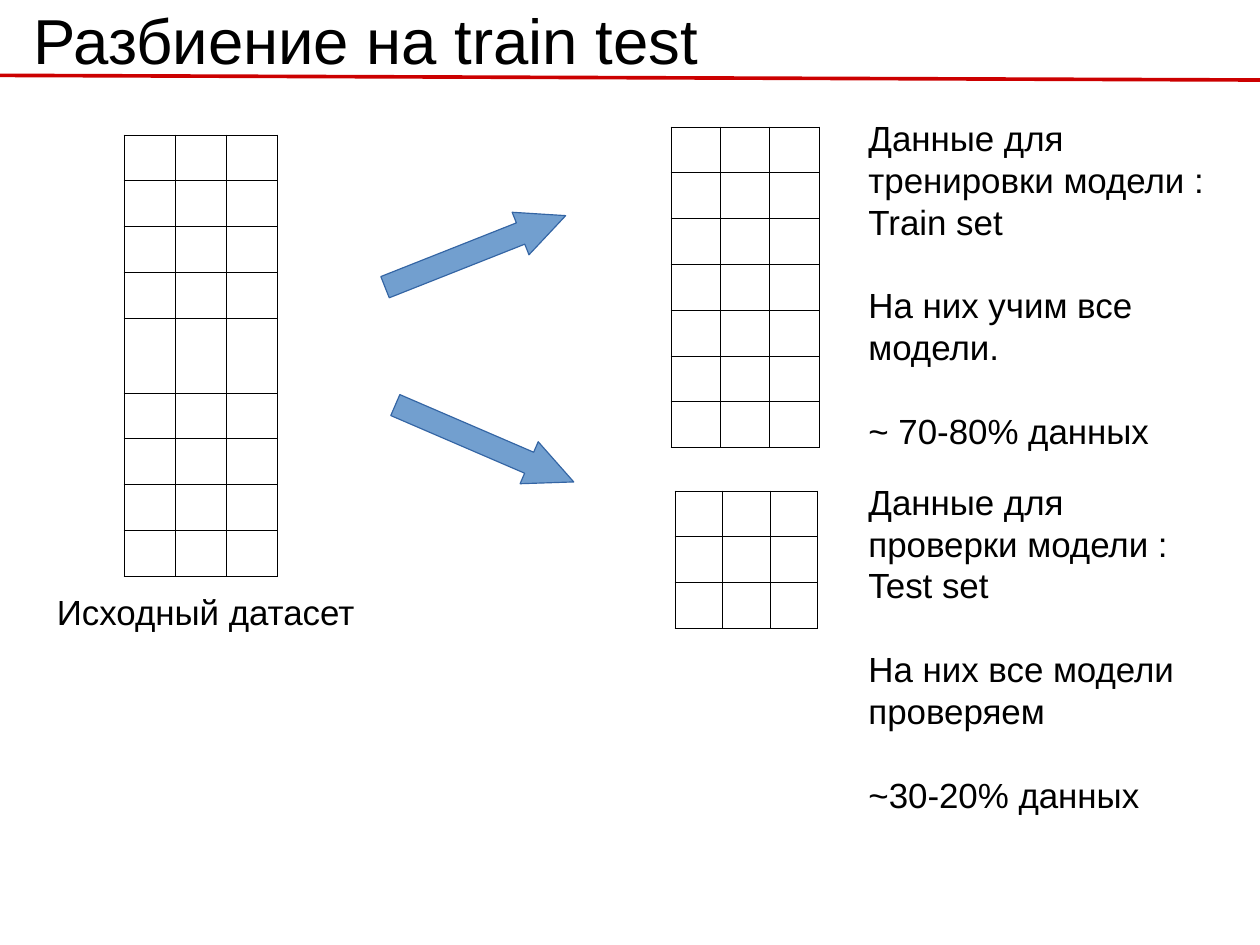
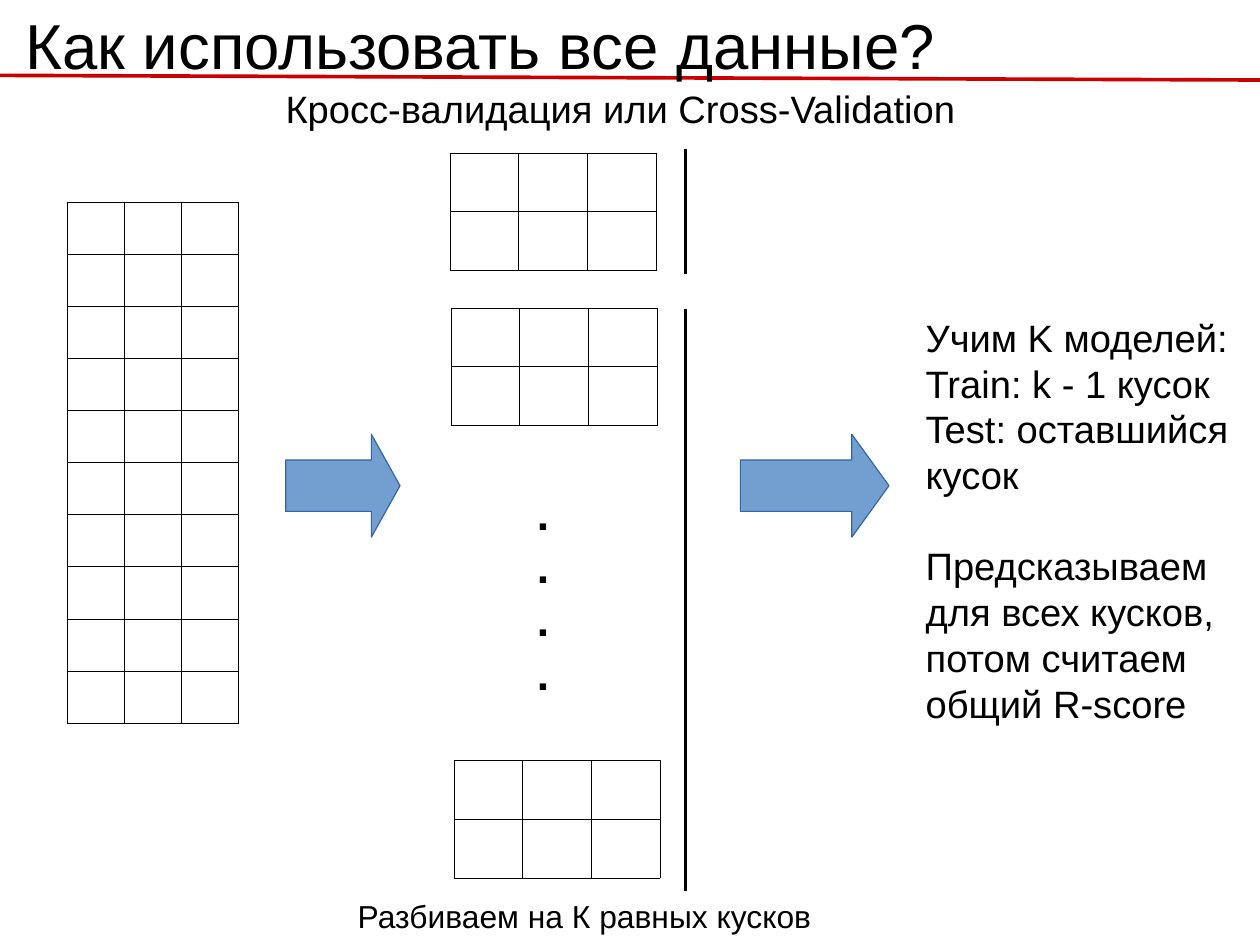
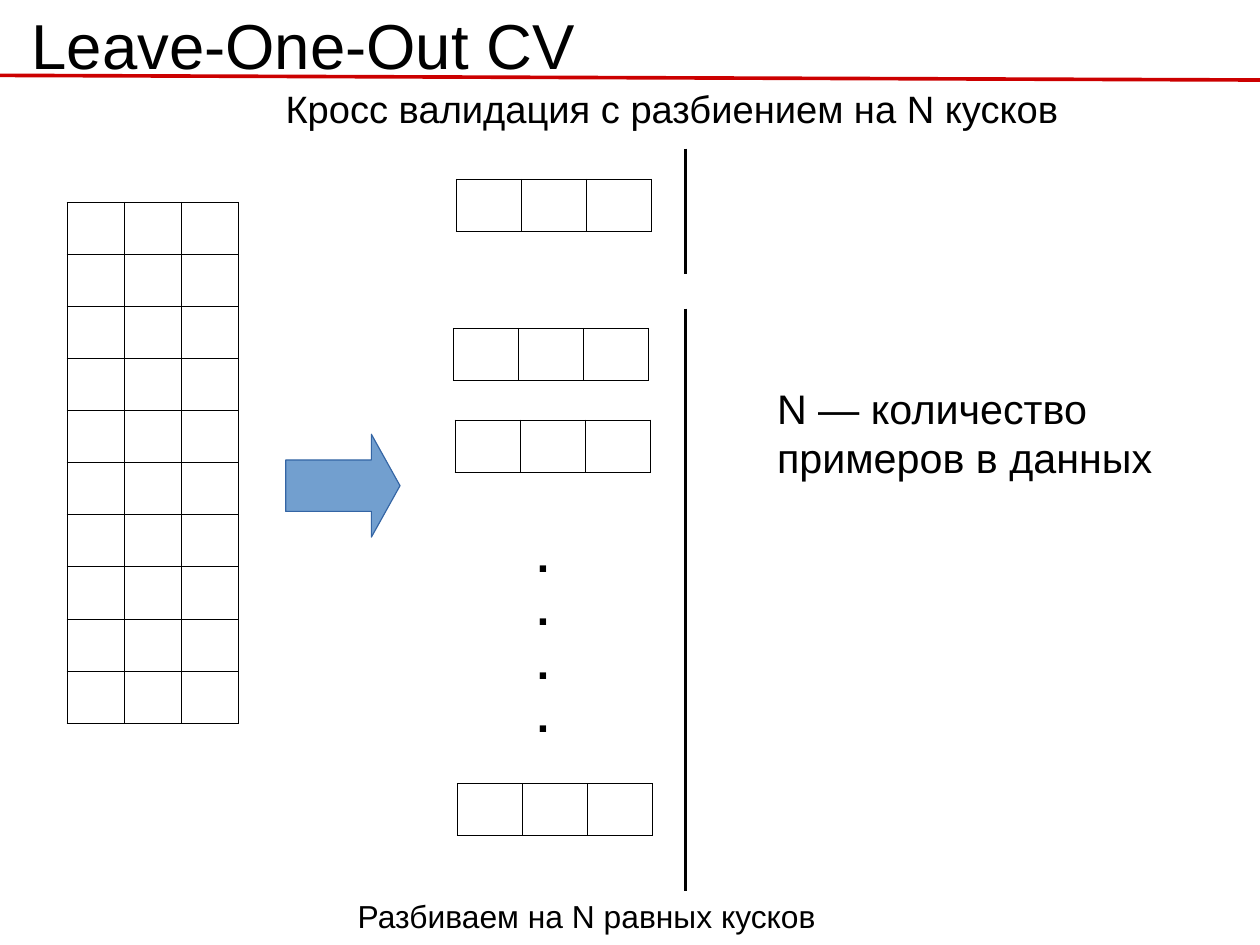
from dataclasses import dataclass

from lxml import etree
from pptx import Presentation
from pptx.dml.color import RGBColor
from pptx.enum.shapes import MSO_CONNECTOR, MSO_SHAPE
from pptx.enum.text import MSO_ANCHOR, MSO_AUTO_SIZE, PP_ALIGN
from pptx.oxml.ns import qn
from pptx.util import Pt

STRAIGHT = MSO_CONNECTOR.STRAIGHT
RIGHT_ARROW = MSO_SHAPE.RIGHT_ARROW
TOP = MSO_ANCHOR.TOP
NO_AUTO_SIZE = MSO_AUTO_SIZE.NONE
LEFT = PP_ALIGN.LEFT
CENTER = PP_ALIGN.CENTER
TITLE_ONLY = 5


@dataclass(frozen=True)
class Theme:
    font: str = "Arial"
    black: str = "000000"
    red: str = "CC0000"
    arrow_fill: str = "729FCF"
    arrow_line: str = "3465A4"
    title: float = 40
    dots: float = 28
    remark: float = 26
    subtitle: float = 24
    body: float = 22
    caption: float = 20
    line_height: float = 1.2
    rule_width: float = 2.3
    border_width: float = 0.57
    hairline: float = 0


@dataclass(frozen=True)
class Box:
    left: float
    top: float
    width: float
    height: float

    def inside(self, left, top, width, height):
        return Box(self.left + left, self.top + top, width, height)

    def lengths(self):
        return Pt(self.left), Pt(self.top), Pt(self.width), Pt(self.height)


THEME = Theme()
PAGE = Box(0, 0, 793.7, 595.3)
SOURCE_BOX = Box(42.2, 127.5, 210, 328.2)
FOLDS_BOX = Box(283, 93.6, 149, 468)


def color(value):
    return RGBColor.from_string(value)


def write_text(shape, paragraphs, size=THEME.body, bold=False, align=LEFT, gaps=()):
    frame = shape.text_frame
    frame.word_wrap = True
    frame.auto_size = NO_AUTO_SIZE
    frame.vertical_anchor = TOP
    for index, text in enumerate(paragraphs):
        paragraph = frame.add_paragraph() if index else frame.paragraphs[0]
        paragraph.text = text
        paragraph.alignment = align
        if index in gaps:
            paragraph.space_before = Pt(size * THEME.line_height)
        for run in paragraph.runs:
            run.font.name = THEME.font
            run.font.size = Pt(size)
            run.font.bold = bold
            run.font.color.rgb = color(THEME.black)


def add_text(slide, box, *paragraphs, **text_format):
    write_text(slide.shapes.add_textbox(*box.lengths()), paragraphs, **text_format)


def add_line(slide, start, end, line_color=THEME.black, width=THEME.hairline):
    connector = slide.shapes.add_connector(STRAIGHT, *map(Pt, start + end))
    connector.line.color.rgb = color(line_color)
    connector.line.width = Pt(width)
    etree.SubElement(connector.element.spPr, qn("a:effectLst"))
    return connector


def add_arrow(slide, box, head, rotation=0):
    arrow = slide.shapes.add_shape(RIGHT_ARROW, *box.lengths())
    arrow.adjustments[0] = 0.5
    arrow.adjustments[1] = head
    arrow.rotation = rotation
    arrow.shadow.inherit = False
    arrow.fill.solid()
    arrow.fill.fore_color.rgb = color(THEME.arrow_fill)
    arrow.line.color.rgb = color(THEME.arrow_line)
    arrow.line.width = Pt(THEME.hairline)


def border_cell(cell):
    properties = cell._tc.get_or_add_tcPr()
    for index, side in enumerate(("lnL", "lnR", "lnT", "lnB")):
        border = etree.Element(qn(f"a:{side}"), w=str(int(Pt(THEME.border_width))))
        fill = etree.SubElement(border, qn("a:solidFill"))
        etree.SubElement(fill, qn("a:srgbClr"), val=THEME.black)
        properties.insert(index, border)


def add_grid(slide, left, top, width, row_heights, columns=3):
    box = Box(left, top, width, sum(row_heights))
    table = slide.shapes.add_table(len(row_heights), columns, *box.lengths()).table
    table.first_row = False
    table.horz_banding = False
    for column in table.columns:
        column.width = Pt(width / columns)
    for row, height in zip(table.rows, row_heights):
        row.height = Pt(height)
    for cell in table.iter_cells():
        cell.margin_left = cell.margin_right = 0
        cell.margin_top = cell.margin_bottom = 0
        cell.fill.background()
        border_cell(cell)


def add_titled_slide(presentation, title, box):
    slide = presentation.slides.add_slide(presentation.slide_layouts[TITLE_ONLY])
    shape = slide.shapes.title
    shape.left, shape.top, shape.width, shape.height = box.lengths()
    write_text(shape, [title], size=THEME.title, align=CENTER)
    return slide


def share_title_rule(slide):
    rule = add_line(slide, (0, 47.5), (PAGE.width, 50.4), THEME.red, THEME.rule_width)
    slide.slide_layout.shapes.element.append(rule.element)


def add_dataset(slide, box):
    row_heights = [28.85] * 4 + [47.2] + [28.85] * 4
    add_grid(slide, box.left + 49.3, box.top, 97, row_heights)
    add_text(slide, box.inside(0, 283.6, 252, 32), "Исходный датасет")


def add_subset(slide, box, grid, row_count, paragraphs):
    left, top, width = grid
    add_grid(slide, box.left + left, box.top + top, width, [28.87] * row_count)
    add_text(slide, box.inside(120, 0, 230.4, 204), *paragraphs, gaps=(1, 2))


def add_source(slide, box):
    row_count = 10
    add_grid(slide, box.left, box.top, 108, [box.height / row_count] * row_count)
    add_arrow(slide, box.inside(137.8, 146.1, 72, 64.8), 0.278)


def add_folds(slide, box, positions, width, row_heights, dots_top):
    for left, top in positions:
        add_grid(slide, box.left + left, box.top + top, width, row_heights)
    add_text(slide, box.inside(48.2, dots_top, 144, 140), *["."] * 4,
             size=THEME.dots, bold=True)
    divider = box.left + box.width
    for start, end in ((0, 79.2), (100.8, box.height)):
        add_line(slide, (divider, box.top + start), (divider, box.top + end))


def add_validation(slide, subtitle, caption, **folds):
    add_text(slide, Box(172.8, 50.4, 525.6, 34), subtitle, size=THEME.subtitle)
    add_source(slide, SOURCE_BOX)
    add_folds(slide, FOLDS_BOX, **folds)
    add_text(slide, Box(218.2, 561.6, 310, 30), caption, size=THEME.caption)


def build_split(presentation):
    slide = add_titled_slide(presentation, "Разбиение на train test",
                             Box(0, -2.9, 460.8, 54))
    share_title_rule(slide)
    add_dataset(slide, Box(28.8, 85, 252, 316))
    add_arrow(slide, Box(238.3, 144, 122.4, 28.8), 1.062, 338.4)
    add_arrow(slide, Box(244, 265, 122.4, 28.8), 1.062, 23.3)
    add_subset(slide, Box(420, 69.8, 350.4, 204), (2.7, 10.2, 93.4), 7,
               ["Данные для тренировки модели :\nTrain set",
                "На них учим все модели.",
                "~ 70-80% данных"])
    add_subset(slide, Box(420, 299, 350.4, 204), (5.2, 10.3, 90), 3,
               ["Данные для проверки модели :\nTest set",
                "На них все модели проверяем",
                "~30-20% данных"])


def build_cross_validation(presentation):
    slide = add_titled_slide(presentation, "Как использовать все данные?",
                             Box(0, 0, 604.8, 52))
    add_validation(slide, "Кросс-валидация или Cross-Validation",
                   "Разбиваем на К равных кусков",
                   positions=((0.5, 2.8), (1.2, 100.4), (3, 385.4)),
                   width=129.8, row_heights=[37.1] * 2, dots_top=208.8)
    add_arrow(slide, Box(466.4, 273.6, 93.6, 64.8), 0.361)
    add_text(slide, Box(576, 194.4, 217, 275), "Учим K моделей:",
             "Train: k - 1 кусок", "Test: оставшийся кусок",
             "Предсказываем для всех кусков, потом считаем общий R-score",
             size=THEME.subtitle, gaps=(3,))


def build_leave_one_out(presentation):
    slide = add_titled_slide(presentation, "Leave-One-Out CV", Box(0, 0, 381.6, 52))
    add_validation(slide, "Кросс валидация с разбиением на N кусков",
                   "Разбиваем на N равных кусков",
                   positions=((4.5, 19.4), (2.5, 113.2), (3.7, 171), (5, 399.9)),
                   width=123, row_heights=[32.7], dots_top=235.4)
    add_text(slide, Box(482.4, 237.6, 302.4, 66),
             "N — количество примеров в данных", size=THEME.remark)


def main():
    presentation = Presentation()
    presentation.slide_width = Pt(PAGE.width)
    presentation.slide_height = Pt(PAGE.height)
    build_split(presentation)
    build_cross_validation(presentation)
    build_leave_one_out(presentation)
    presentation.save("out.pptx")


if __name__ == "__main__":
    main()
